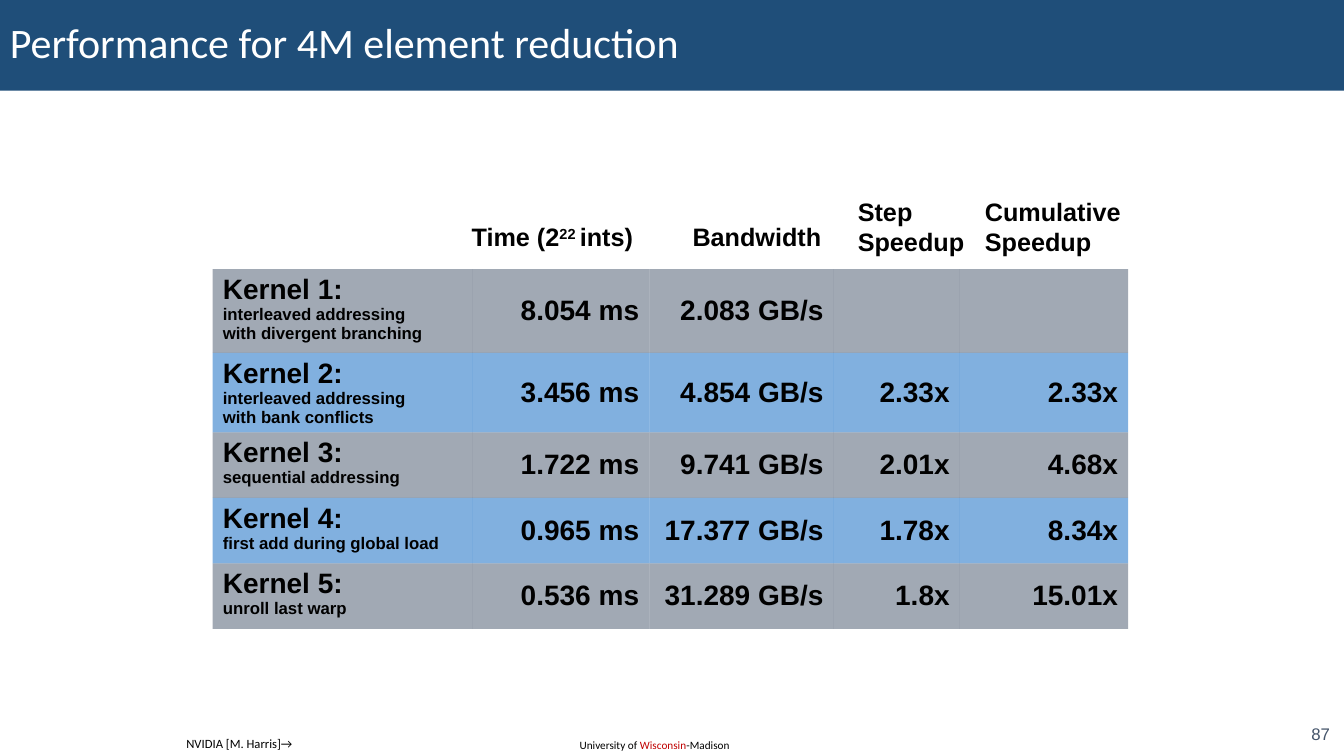
from lxml.etree import SubElement
from pptx import Presentation
from pptx.dml.color import RGBColor
from pptx.enum.shapes import MSO_SHAPE
from pptx.enum.text import MSO_ANCHOR, MSO_AUTO_SIZE, PP_ALIGN
from pptx.oxml.ns import qn
from pptx.util import Inches, Pt

NO_STYLE = "{2D5ABB26-0587-4C30-8999-92F81FD0307C}"
BLACK, WHITE, NAVY, SLATE, BLUE, RED = "000000", "FFFFFF", "1F4E79", "44546A", "0563C1", "C00000"


def color(value):
    return RGBColor.from_string(value)


class SlideBuilder:
    """Draws styled elements on the current slide."""

    def __init__(self, slide, heading_font="Calibri", body_font="Arial"):
        self.slide = slide
        self.heading_font = heading_font
        self.body_font = body_font

    def fill_paragraph(self, para, spans, size, font, fill=BLACK, bold=False, align=PP_ALIGN.LEFT):
        para.alignment = align
        para.font.size = Pt(size)
        para.font.name = font
        para.font.bold = bold
        para.font.color.rgb = color(fill)
        for text, changes in spans:
            for index, line in enumerate(text.split("\n")):
                if index:
                    para.add_line_break()
                if not line:
                    continue
                span = para.add_run()
                span.text = line
                if "size" in changes:
                    span.font.size = Pt(changes["size"])
                if "fill" in changes:
                    span.font.color.rgb = color(changes["fill"])
                if "baseline" in changes:
                    span._r.get_or_add_rPr().set("baseline", changes["baseline"])

    def title(self, text, height):
        bar = self.slide.shapes.add_shape(MSO_SHAPE.RECTANGLE, 0, 0, Inches(13.33), Inches(height))
        bar.shadow.inherit = False
        bar.fill.solid()
        bar.fill.fore_color.rgb = color(NAVY)
        bar.line.fill.background()
        bar.text_frame.word_wrap = True
        bar.text_frame.vertical_anchor = MSO_ANCHOR.MIDDLE
        para = bar.text_frame.paragraphs[0]
        para.line_spacing = 0.9
        self.fill_paragraph(para, [(text, {})], 30, self.heading_font, WHITE)

    def text(self, place, spans, size, font, wrap=False, anchor=MSO_ANCHOR.TOP, **style):
        box = self.slide.shapes.add_textbox(*map(Inches, place))
        box.text_frame.word_wrap = wrap
        box.text_frame.auto_size = MSO_AUTO_SIZE.NONE
        box.text_frame.vertical_anchor = anchor
        self.fill_paragraph(box.text_frame.paragraphs[0], spans, size, font, **style)

    def header(self, place, *spans):
        self.text(place, spans, 18, self.body_font, bold=True)

    def shade(self, cell, fill):
        cell.fill.solid()
        cell.fill.fore_color.rgb = color(fill)
        tint = cell._tc.tcPr.find(qn("a:solidFill"))[0]
        SubElement(tint, qn("a:alpha")).set("val", "50000")

    def table(self, left, top, widths, heights, rows):
        frame = self.slide.shapes.add_table(
            len(rows), len(widths), Inches(left), Inches(top),
            Inches(sum(widths)), Inches(sum(heights)))
        table = frame.table
        table.first_row = table.horz_banding = False
        table._tbl.tblPr.find(qn("a:tableStyleId")).text = NO_STYLE
        for column, width in zip(table.columns, widths):
            column.width = Inches(width)
        for index, (name, detail, *values) in enumerate(rows):
            table.rows[index].height = Inches(heights[index])
            for cell in table.rows[index].cells:
                self.shade(cell, BLUE if index % 2 else SLATE)
            label = table.cell(index, 0).text_frame.paragraphs[0]
            self.fill_paragraph(label, [(name, {"size": 20}), ("\n" + detail, {})],
                                12, self.body_font, bold=True)
            for column, value in enumerate(values, 1):
                cell = table.cell(index, column)
                cell.vertical_anchor = MSO_ANCHOR.MIDDLE
                self.fill_paragraph(cell.text_frame.paragraphs[0], [(value, {})], 20, self.body_font,
                                    bold=True, align=PP_ALIGN.RIGHT)


def main():
    deck = Presentation()
    deck.slide_width, deck.slide_height = Inches(13.33), Inches(7.5)
    page = SlideBuilder(deck.slides.add_slide(deck.slide_layouts[6]))

    page.text((5.65, 7.28, 1.72, 0.24),
              [("University of ", {}), ("Wisconsin", {"fill": RED}), ("-Madison", {})],
              8, page.heading_font, wrap=True)
    page.title("Performance for 4M element reduction", 0.9)
    page.text((12.53, 7.13, 0.76, 0.29), [("87", {})], 12, page.body_font, wrap=True,
              anchor=MSO_ANCHOR.MIDDLE, fill=SLATE, align=PP_ALIGN.RIGHT)

    kernels = [
        ("Kernel 1:", "interleaved addressing\nwith divergent branching", "8.054 ms", "2.083 GB/s", "", ""),
        ("Kernel 2:", "interleaved addressing\nwith bank conflicts", "3.456 ms", "4.854 GB/s", "2.33x", "2.33x"),
        ("Kernel 3:", "sequential addressing", "1.722 ms", "9.741 GB/s", "2.01x", "4.68x"),
        ("Kernel 4:", "first add during global load", "0.965 ms", "17.377 GB/s", "1.78x", "8.34x"),
        ("Kernel 5:", "unroll last warp", "0.536 ms", "31.289 GB/s", "1.8x", "15.01x"),
    ]
    page.table(2.11, 2.67, [2.58, 1.75, 1.83, 1.25, 1.67], [0.83, 0.79, 0.65, 0.65, 0.65], kernels)

    page.header((8.41, 1.9, 1.26, 0.7), ("Step\nSpeedup", {}))
    page.header((6.77, 2.15, 1.48, 0.4), ("Bandwidth", {}))
    page.header((4.58, 2.15, 1.84, 0.4), ("Time (2", {}), ("22 ", {"baseline": "30000"}), ("ints)", {}))
    page.header((9.67, 1.9, 1.55, 0.7), ("Cumulative\nSpeedup", {}))
    page.text((1.75, 7.25, 1.25, 0.25), [("NVIDIA [M. Harris]→", {})], 9, page.heading_font)
    deck.save("out.pptx")


if __name__ == "__main__":
    main()
